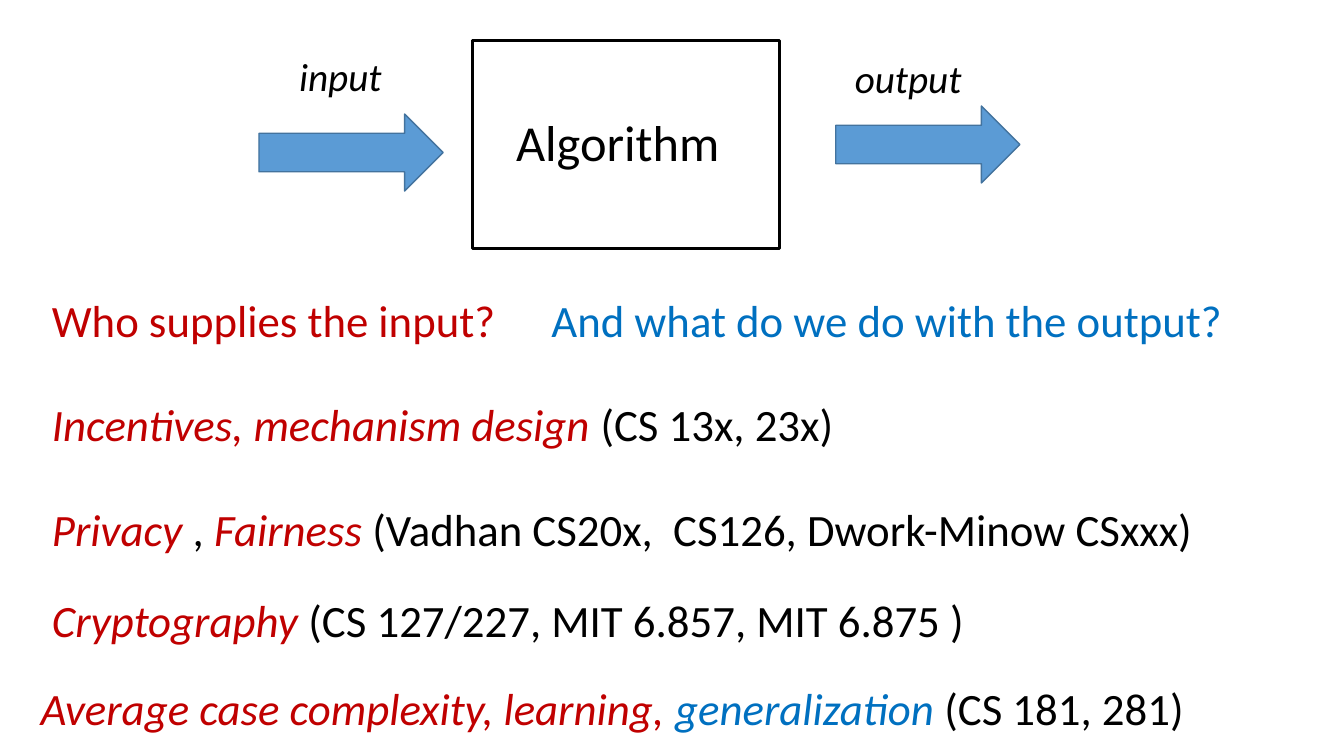
from pptx import Presentation
from pptx.dml.color import RGBColor
from pptx.enum.shapes import MSO_SHAPE as Shape
from pptx.enum.text import MSO_AUTO_SIZE as AutoSize
from pptx.util import Pt

BLACK = RGBColor(0x00, 0x00, 0x00)
RED = RGBColor(0xC0, 0x00, 0x00)
BLUE = RGBColor(0x00, 0x70, 0xC0)
ARROW_FILL = RGBColor(0x5B, 0x9B, 0xD5)
ARROW_LINE = RGBColor(0x43, 0x73, 0x9E)
FONT = "Calibri"
BODY_SIZE = 32
TOPIC_GAP = 37


def add_text(slide, left, top, width, height, paragraphs, size=BODY_SIZE, gap=0):
    """Each paragraph is a list of (text, colour, italic) spans."""
    box = slide.shapes.add_textbox(Pt(left), Pt(top), Pt(width), Pt(height))
    frame = box.text_frame
    frame.word_wrap = True
    frame.auto_size = AutoSize.SHAPE_TO_FIT_TEXT
    for index, spans in enumerate(paragraphs):
        para = frame.add_paragraph() if index else frame.paragraphs[0]
        para.font.name = FONT
        para.font.size = Pt(size)
        if index:
            para.space_before = Pt(gap)
        for text, colour, italic in spans:
            span = para.add_run()
            span.text = text
            span.font.color.rgb = colour
            span.font.italic = italic


def add_outlined(slide, kind, left, top, width, height, line, weight, fill=None):
    shape = slide.shapes.add_shape(kind, Pt(left), Pt(top), Pt(width), Pt(height))
    shape.shadow.inherit = False
    if fill is None:
        shape.fill.background()
    else:
        shape.fill.solid()
        shape.fill.fore_color.rgb = fill
    shape.line.color.rgb = line
    shape.line.width = Pt(weight)


def add_flow(slide, left, top):
    """Input arrow, algorithm box and output arrow."""
    add_outlined(slide, Shape.RECTANGLE, left + 152.7, top, 219, 148.5, BLACK, 2.25)
    add_text(slide, left + 176.5, top + 47, 173, 51,
             [[("Algorithm", BLACK, False)]], size=36)

    # Arrows with the offsets of their labels
    for label, arrow_x, arrow_y, label_x, label_y in (
        ("input", 0, 52.5, 21.6, 4.5),
        ("output", 412, 46.7, 418.5, 6),
    ):
        add_outlined(slide, Shape.RIGHT_ARROW, left + arrow_x, top + arrow_y,
                     131.5, 55, ARROW_LINE, 1, ARROW_FILL)
        add_text(slide, left + label_x, top + label_y, 104.5, 41,
                 [[(label, BLACK, True)]], size=28)


def add_questions(slide, left, top):
    add_text(slide, left, top, 395, 46,
             [[("Who supplies the input?", RED, False)]])
    add_text(slide, left + 356.8, top, 560, 46,
             [[("And what do we do with the output?", BLUE, False)]])


def add_topics(slide, left, top):
    """Research topics with their courses."""
    add_text(slide, left, top, 865, 124, [
        [("Incentives, mechanism design ", RED, True),
         ("(CS 13x, 23x)", BLACK, False)],
        [("Privacy", RED, True), (" , ", BLACK, False), ("Fairness ", RED, True),
         ("(Vadhan CS20x,  CS126, Dwork-Minow CSxxx)", BLACK, False)],
    ], gap=TOPIC_GAP)
    add_text(slide, left, top + 140.4, 779, 46, [
        [("Cryptography ", RED, True),
         ("(CS 127/227, MIT 6.857, MIT 6.875 )", BLACK, False)],
    ])
    add_text(slide, left - 8, top + 203, 886, 46, [
        [("Average case complexity, learning, ", RED, True),
         ("generalization ", BLUE, True), ("(CS 181, 281)", BLACK, False)],
    ])


def main():
    deck = Presentation()
    deck.slide_width, deck.slide_height = Pt(960), Pt(540)
    page = deck.slides.add_slide(deck.slide_layouts[6])
    add_flow(page, 185, 29)
    add_questions(page, 30, 205.3)
    add_topics(page, 30, 279.5)
    deck.save("out.pptx")


if __name__ == "__main__":
    main()
